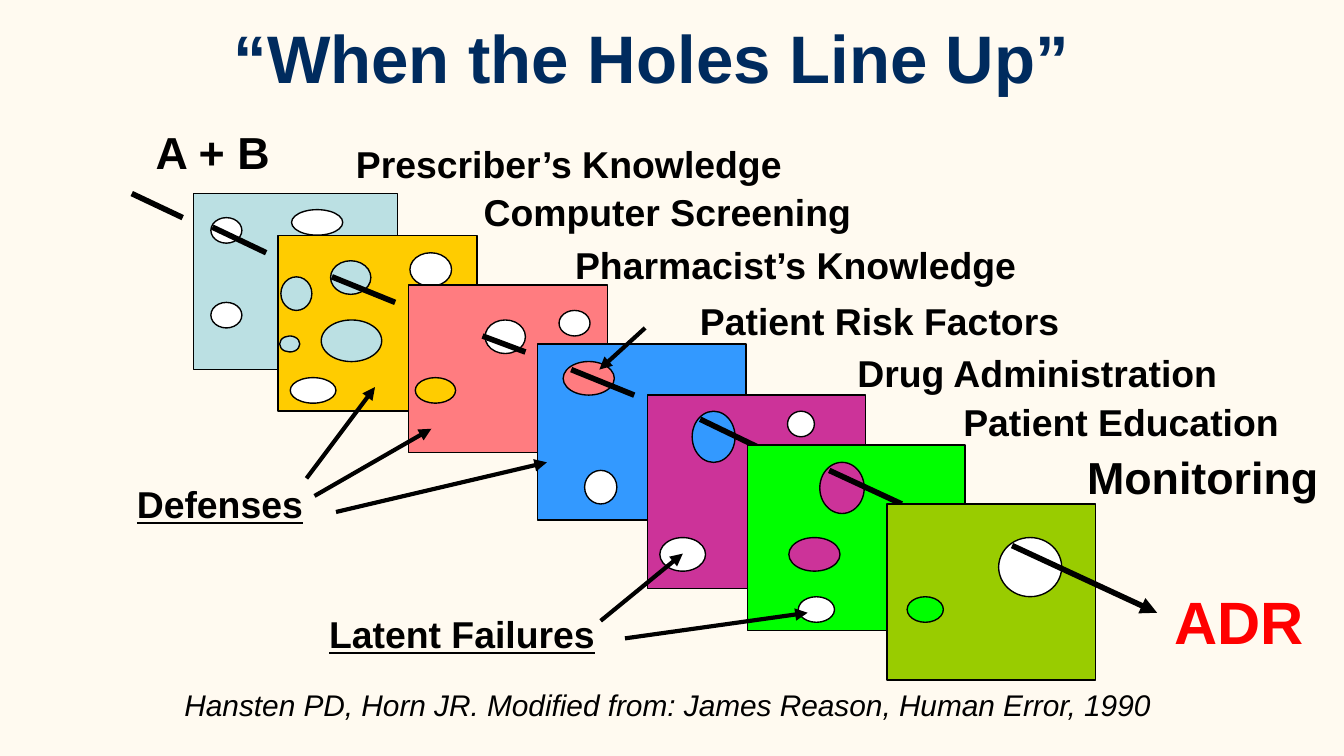
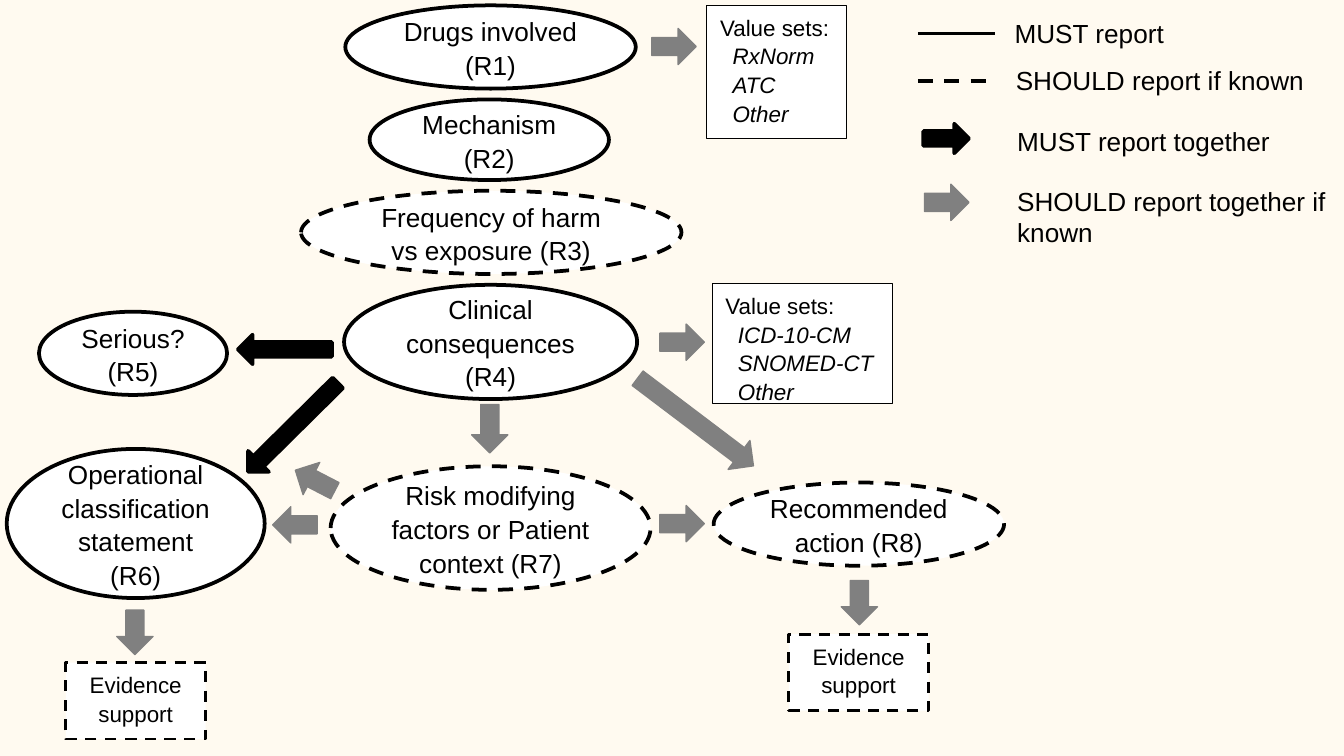
from dataclasses import dataclass

import pptx
import pptx.dml.color
import pptx.enum.dml
import pptx.enum.shapes
import pptx.enum.text
import pptx.oxml
import pptx.oxml.ns
import pptx.presentation
import pptx.shapes.autoshape
import pptx.slide
import pptx.text.text
import pptx.util

Pt = pptx.util.Pt
SHAPE = pptx.enum.shapes.MSO_SHAPE
ALIGN = pptx.enum.text.PP_ALIGN
ANCHOR = pptx.enum.text.MSO_ANCHOR
FONT = "Arial"
COLORS = {
    "background": "FFFAF0", "black": "000000", "white": "FFFFFF",
    "title": "002B5E", "red": "FF0000", "gray": "808080",
    "pale": "BBE0E3", "gold": "FFCC00", "pink": "FF7C80", "blue": "3399FF",
    "purple": "CC3399", "green": "00FF00", "olive": "99CC00",
}
Box = tuple[float, float, float, float]


@dataclass
class Card:
    box: Box
    color: str
    rod: Box
    open_holes: list[Box]
    covered_holes: list[Box]


@dataclass
class Label:
    box: Box
    text: str
    size: float = 20
    bold: bool = True
    italic: bool = False
    underline: bool = False
    color: str = "black"
    align: ALIGN = ALIGN.LEFT
    wrap: bool = True


@dataclass
class Node:
    box: Box
    text: str
    dashed: bool = False
    space_after: float = 8


@dataclass
class BlockArrow:
    box: Box
    rotation: float = 0
    must: bool = False


@dataclass
class ValueSet:
    box: Box
    items: list[str]


CARDS = [
    Card((103.7, 103.7, 109.4, 94.3), "pale", (113.8, 121.7, 142.6, 135.4),
         [(113, 162, 16.6, 13.7), (156.2, 112.3, 27.4, 13.7), (113, 116.6, 16.6, 13.7)], []),
    Card((149, 126, 106.6, 94.3), "gold", (177.8, 148.3, 211.7, 162),
         [(155.5, 202.3, 24.5, 13.7), (219.6, 135.4, 22.3, 18)],
         [(177.1, 139.7, 21.6, 18), (172.1, 171.4, 32.4, 22.3),
          (150.5, 148.3, 16.6, 18), (149.8, 180, 10.8, 8.6)]),
    Card((218.9, 152.6, 106.6, 90), "pink", (258.5, 180, 281.5, 188.6),
         [(259.9, 171.4, 21.6, 18), (299.5, 166.3, 16.6, 13.7)],
         [(222.5, 202.3, 21.6, 13.7)]),
    Card((288, 184.3, 111.6, 94.3), "blue", (306, 198, 339.8, 211.7),
         [(313.2, 252, 17.3, 18)], [(301.7, 193.7, 27.4, 18)]),
    Card((347, 211.7, 116.6, 103.7), "purple", (375.1, 224.6, 414, 243.4),
         [(353.5, 288, 24.5, 18), (421.9, 220.3, 14.4, 13.7)],
         [(370.8, 220.3, 23, 27.4)]),
    Card((400.3, 238.3, 116.6, 99.4), "green", (444.2, 252, 483.1, 270),
         [(427.7, 319.7, 19.4, 13.7)],
         [(422.6, 288, 27.4, 18), (439.2, 247.7, 23.8, 27.4)]),
    Card((475.2, 270, 111.6, 94.3), "olive", (542.2, 292.3, 619.9, 328.3),
         [(535, 288, 33.8, 31.7)], [(486, 319.7, 19.4, 13.7)]),
]
ENTRY_ROD = (70.6, 103.7, 97.9, 116.6)
POINTERS = [
    (345.6, 175.7, 321.1, 198),
    (164.2, 256.3, 200.9, 207.4),
    (168.5, 265.7, 231.1, 229.7),
    (180, 274.3, 293, 247.7),
    (321.8, 332.6, 365.8, 296.6),
    (334.8, 342, 432.7, 328.3),
]
CHEESE_LABELS = [
    Label((72, 5, 554.4, 51.1), "“When the Holes Line Up”", 36, color="title", align=ALIGN.CENTER),
    Label((76.3, 63.4, 82.1, 36), "A + B", 24),
    Label((183.6, 72, 300.2, 31.7), "Prescriber’s Knowledge"),
    Label((252, 97.9, 277.9, 31.7), "Computer Screening"),
    Label((301, 126, 300.2, 31.7), "Pharmacist’s Knowledge"),
    Label((367.9, 156.2, 250.6, 31.7), "Patient Risk Factors"),
    Label((452.2, 184.3, 227.5, 31.7), "Drug Administration"),
    Label((509, 210.2, 199.4, 31.7), "Patient Education"),
    Label((575.3, 237.6, 141.8, 36), "Monitoring", 24),
    Label((622.1, 309.6, 85.7, 46.1), "ADR", 32, color="red"),
    Label((66.2, 254.2, 136.1, 31.7), "Defenses", underline=True),
    Label((169.2, 324, 204.5, 31.7), "Latent Failures", underline=True),
    Label((54, 364.3, 607.7, 26.6),
          "Hansten PD, Horn JR. Modified from: James Reason, Human Error, 1990",
          16, bold=False, italic=True, align=ALIGN.CENTER),
]
NODES = [
    Node((185, 2.9, 155.6, 44.6), "Drugs involved (R1)"),
    Node((198, 53.3, 128.2, 43.2), "Mechanism (R2)"),
    Node((161.3, 102.2, 203.8, 44.6), "Frequency of harm vs exposure (R3)", True),
    Node((184.3, 152.6, 157, 61.2), "Clinical consequences (R4)"),
    Node((20.9, 167, 100.8, 44.6), "Serious? (R5)"),
    Node((3.6, 240.5, 138.2, 79.9), "Operational classification statement (R6)"),
    Node((177.1, 249.8, 171.4, 66.2), "Risk modifying factors or Patient context (R7)", True, 0),
    Node((382.3, 258.5, 155.6, 44.6), "Recommended action (R8)", True),
]
VALUE_SETS = [
    ValueSet((378.7, 2.9, 74.9, 71.3), ["RxNorm", "ATC", "Other"]),
    ValueSet((381.6, 151.9, 96.5, 64.1), ["ICD-10-CM", "SNOMED-CT", "Other"]),
]
EVIDENCE_BOXES = [(422.6, 339.8, 74.9, 41), (35.3, 355, 74.9, 41)]
BLOCK_ARROWS = [
    BlockArrow((351.4, 13, 19.4, 23.8), 270),
    BlockArrow((355.7, 171.4, 19.4, 23.8), 270),
    BlockArrow((355.7, 268.6, 19.4, 23.8), 270),
    BlockArrow((148.3, 269.3, 19.4, 23.8), 90),
    BlockArrow((159.1, 245.5, 19.4, 23.8), 117.4),
    BlockArrow((362.9, 187.2, 19.4, 77.8), 307.1),
    BlockArrow((252.7, 216.7, 19.4, 25.9)),
    BlockArrow((62.6, 326.9, 19.4, 23.8)),
    BlockArrow((450.7, 311, 19.4, 23.8)),
    BlockArrow((144.7, 162, 15.8, 50.4), 90, True),
    BlockArrow((149, 195.1, 15.8, 67.7), 45.3, True),
    BlockArrow((499, 61.9, 15.8, 24.5), 270, True),
    BlockArrow((497.5, 96.5, 19.4, 23.8), 270),
]
LEGEND_LABELS = [
    Label((536.4, 5.8, 95, 24.2), "MUST report", 14, False, wrap=False),
    Label((537.1, 31, 169.9, 24.2), "SHOULD report if known", 14, False, wrap=False),
    Label((537.8, 63.4, 150.5, 24.2), "MUST report together", 14, False, wrap=False),
    Label((537.8, 95.8, 190.8, 41), "SHOULD report together if known", 14, False),
]
LEGEND_LINES = [(18, False), (43.2, True)]


def rgb(name: str) -> pptx.dml.color.RGBColor:
    return pptx.dml.color.RGBColor.from_string(COLORS[name])


def add_slide(prs: pptx.presentation.Presentation) -> pptx.slide.Slide:
    s = prs.slides.add_slide(prs.slide_layouts[6])
    s.background.fill.solid()
    s.background.fill.fore_color.rgb = rgb("background")
    return s


def add_shape(s: pptx.slide.Slide, kind: SHAPE, box: Box, fill: str, width: float,
              line: str = "black", dashed: bool = False) -> pptx.shapes.autoshape.Shape:
    sp = s.shapes.add_shape(kind, *map(Pt, box))
    sp.shadow.inherit = False
    sp.fill.solid()
    sp.fill.fore_color.rgb = rgb(fill)
    sp.line.color.rgb = rgb(line)
    sp.line.width = Pt(width)
    if dashed:
        sp.line.dash_style = pptx.enum.dml.MSO_LINE.DASH
    return sp


def add_line(s: pptx.slide.Slide, ends: Box, width: float,
             arrow: bool = False, dashed: bool = False) -> None:
    c = s.shapes.add_connector(pptx.enum.shapes.MSO_CONNECTOR.STRAIGHT, *map(Pt, ends))
    c.line.color.rgb = rgb("black")
    c.line.width = Pt(width)
    if dashed:
        c.line.dash_style = pptx.enum.dml.MSO_LINE.DASH
    if arrow:
        tail = pptx.oxml.parse_xml(f'<a:tailEnd {pptx.oxml.ns.nsdecls("a")} type="triangle"/>')
        c.line._get_or_add_ln().append(tail)
    effects = pptx.oxml.parse_xml(f'<a:effectLst {pptx.oxml.ns.nsdecls("a")}/>')
    c._element.spPr.append(effects)


def add_run(p: pptx.text.text._Paragraph, text: str, size: float, color: str = "black",
            bold: bool = False, italic: bool = False, underline: bool = False) -> None:
    r = p.add_run()
    r.text = text
    r.font.name = FONT
    r.font.size = Pt(size)
    r.font.color.rgb = rgb(color)
    r.font.bold = bold
    r.font.italic = italic
    r.font.underline = underline


def add_label(s: pptx.slide.Slide, label: Label) -> None:
    tf = s.shapes.add_textbox(*map(Pt, label.box)).text_frame
    tf.word_wrap = label.wrap
    tf.auto_size = pptx.enum.text.MSO_AUTO_SIZE.SHAPE_TO_FIT_TEXT
    p = tf.paragraphs[0]
    p.alignment = label.align
    add_run(p, label.text, label.size, label.color, label.bold, label.italic, label.underline)


def fill_text(sp: pptx.shapes.autoshape.Shape, lines: list[str], size: float, anchor: ANCHOR,
              align: ALIGN, space_after: float = 0) -> None:
    tf = sp.text_frame
    tf.word_wrap = True
    tf.vertical_anchor = anchor
    for i, line in enumerate(lines):
        p = tf.add_paragraph() if i else tf.paragraphs[0]
        p.alignment = align
        p.line_spacing = 1.07
        p.space_after = Pt(space_after)
        if i:
            p._p.get_or_add_pPr().set("marL", str(Pt(6.7)))
        add_run(p, line, size, italic=i > 0)


def add_block_arrow(s: pptx.slide.Slide, arrow: BlockArrow) -> None:
    color, width = ("black", 2) if arrow.must else ("gray", 0)
    sp = add_shape(s, SHAPE.DOWN_ARROW, arrow.box, color, width, color)
    sp.rotation = arrow.rotation


def build_cheese_slide(prs: pptx.presentation.Presentation) -> None:
    s = add_slide(prs)
    add_line(s, ENTRY_ROD, 3)
    behind = "white"
    for card in CARDS:
        add_shape(s, SHAPE.RECTANGLE, card.box, card.color, 0.75)
        for holes, color in ((card.open_holes, "white"), (card.covered_holes, behind)):
            for hole in holes:
                add_shape(s, SHAPE.OVAL, hole, color, 0.75)
        add_line(s, card.rod, 3, arrow=card is CARDS[-1])
        behind = card.color
    for pointer in POINTERS:
        add_line(s, pointer, 2.25, arrow=True)
    for label in CHEESE_LABELS:
        add_label(s, label)


def build_report_slide(prs: pptx.presentation.Presentation) -> None:
    s = add_slide(prs)
    for node in NODES:
        sp = add_shape(s, SHAPE.OVAL, node.box, "white", 2, dashed=node.dashed)
        fill_text(sp, [node.text], 14, ANCHOR.MIDDLE, ALIGN.CENTER, node.space_after)
    for values in VALUE_SETS:
        sp = add_shape(s, SHAPE.RECTANGLE, values.box, "white", 0.5)
        fill_text(sp, ["Value sets:", *values.items], 12, ANCHOR.TOP, ALIGN.LEFT)
    for box in EVIDENCE_BOXES:
        sp = add_shape(s, SHAPE.RECTANGLE, box, "white", 1.5, dashed=True)
        fill_text(sp, ["Evidence support"], 12, ANCHOR.TOP, ALIGN.CENTER)
    for arrow in BLOCK_ARROWS:
        add_block_arrow(s, arrow)
    for y, dashed in LEGEND_LINES:
        add_line(s, (491.8, y, 532.8, y), 2, dashed=dashed)
    for label in LEGEND_LABELS:
        add_label(s, label)


def main() -> None:
    prs = pptx.Presentation()
    prs.slide_width, prs.slide_height = Pt(720), Pt(405)
    build_cheese_slide(prs)
    build_report_slide(prs)
    prs.save("out.pptx")


if __name__ == "__main__":
    main()
